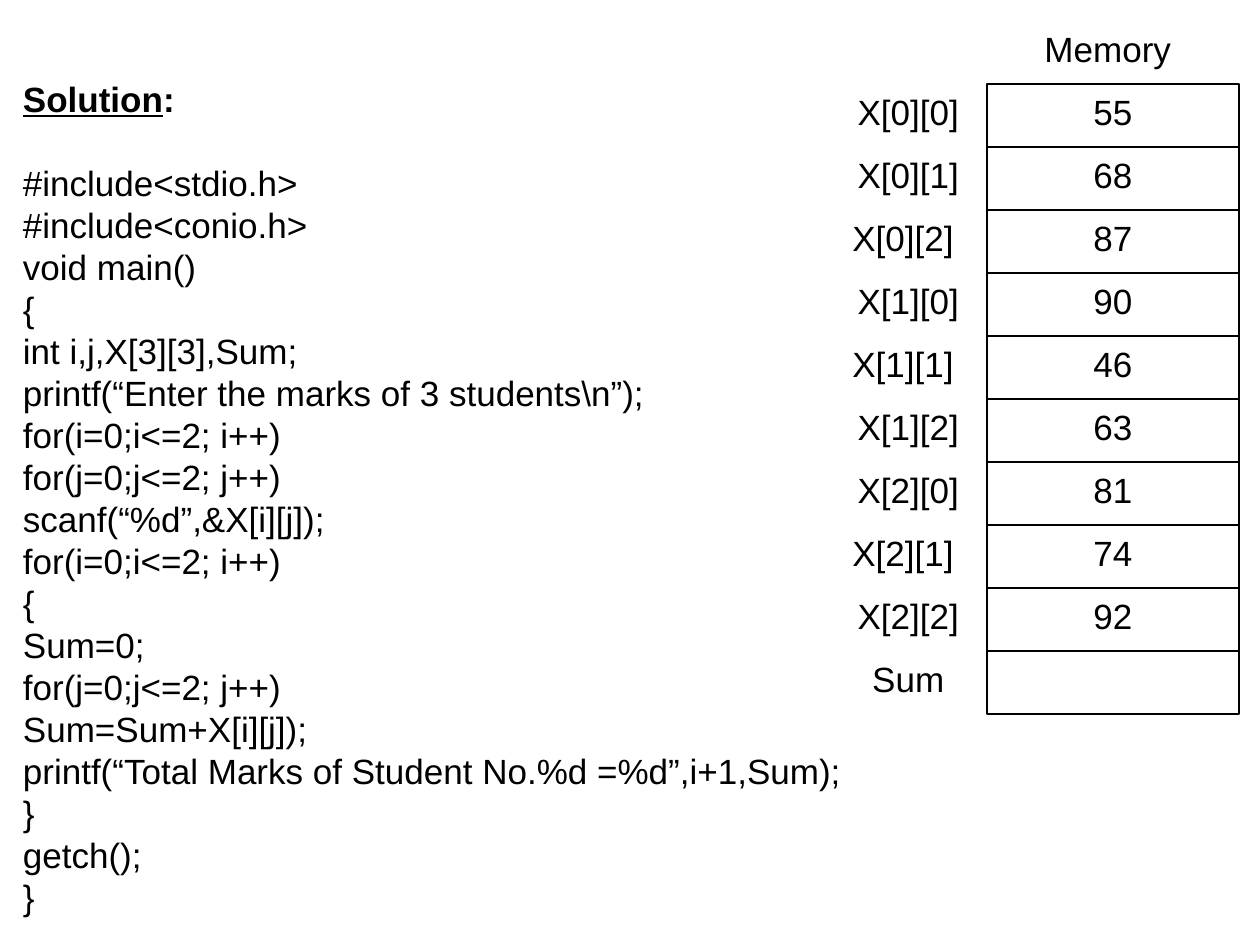
"""Build a slide pairing a C program with the memory layout of its array."""
from dataclasses import dataclass

from pptx import Presentation
from pptx.dml.color import RGBColor
from pptx.enum.shapes import MSO_SHAPE as SHAPE
from pptx.enum.text import MSO_ANCHOR as ANCHOR, PP_ALIGN as ALIGN
from pptx.util import Pt


@dataclass(frozen=True)
class Theme:
    font: str = "Arial"
    size: float = 20
    leading: float = 24
    border: float = 0.75
    ink: RGBColor = RGBColor(0, 0, 0)


@dataclass(frozen=True)
class Box:
    left: float
    top: float
    width: float
    height: float

    def lengths(self) -> tuple:
        return Pt(self.left), Pt(self.top), Pt(self.width), Pt(self.height)


@dataclass(frozen=True)
class MemoryCell:
    label: str
    value: str = ""
    label_width: float = 90


THEME = Theme()
CODE_BOX = Box(6, 24, 696, 516)
HEADING_BOX = Box(570, 12, 126, 31.5)
LABEL_LEFT, LABEL_HEIGHT = 474, 31.5
CELL_LEFT, CELL_TOP, CELL_WIDTH, CELL_HEIGHT = 564, 48, 144, 36

CELLS = (
    MemoryCell("X[0][0]", "55"),
    MemoryCell("X[0][1]", "68"),
    MemoryCell("X[0][2]", "87", 84),
    MemoryCell("X[1][0]", "90"),
    MemoryCell("X[1][1]", "46", 84),
    MemoryCell("X[1][2]", "63"),
    MemoryCell("X[2][0]", "81"),
    MemoryCell("X[2][1]", "74", 84),
    MemoryCell("X[2][2]", "92"),
    MemoryCell("Sum"),
)

CODE = r"""#include<stdio.h>
#include<conio.h>
void main()
{
int i,j,X[3][3],Sum;
printf(“Enter the marks of 3 students\n”);
for(i=0;i<=2; i++)
for(j=0;j<=2; j++)
scanf(“%d”,&X[i][j]);
for(i=0;i<=2; i++)
{
Sum=0;
for(j=0;j<=2; j++)
Sum=Sum+X[i][j]);
printf(“Total Marks of Student No.%d =%d”,i+1,Sum);
}
getch();
}"""


def add_run(p, text: str, bold: bool = False, underline: bool = False) -> None:
    r = p.add_run()
    r.text = text
    r.font.name = THEME.font
    r.font.size = Pt(THEME.size)
    r.font.color.rgb = THEME.ink
    r.font.bold = bold
    r.font.underline = underline


def set_paragraph(p, align: ALIGN) -> None:
    p.alignment = align
    p.line_spacing = Pt(THEME.leading)


def fill_centred(tf, text: str) -> None:
    tf.word_wrap = True
    tf.vertical_anchor = ANCHOR.TOP
    p = tf.paragraphs[0]
    set_paragraph(p, ALIGN.CENTER)
    add_run(p, text)


def add_label(s, box: Box, text: str) -> None:
    fill_centred(s.shapes.add_textbox(*box.lengths()).text_frame, text)


def add_cell(s, box: Box, value: str) -> None:
    sp = s.shapes.add_shape(SHAPE.RECTANGLE, *box.lengths())
    sp.shadow.inherit = False
    sp.fill.background()
    sp.line.color.rgb = THEME.ink
    sp.line.width = Pt(THEME.border)
    if value:
        fill_centred(sp.text_frame, value)


def add_code(s) -> None:
    tf = s.shapes.add_textbox(*CODE_BOX.lengths()).text_frame
    tf.word_wrap = True
    tf.vertical_anchor = ANCHOR.MIDDLE
    tf.margin_top = Pt(8)
    p = tf.paragraphs[0]
    set_paragraph(p, ALIGN.LEFT)
    p.space_after = Pt(THEME.leading)
    add_run(p, "Solution", bold=True, underline=True)
    add_run(p, ":", bold=True)
    for line in CODE.splitlines():
        p = tf.add_paragraph()
        set_paragraph(p, ALIGN.LEFT)
        add_run(p, line)


def add_memory(s) -> None:
    add_label(s, HEADING_BOX, "Memory")
    for i, cell in enumerate(CELLS):
        top = CELL_TOP + i * CELL_HEIGHT
        add_label(s, Box(LABEL_LEFT, top, cell.label_width, LABEL_HEIGHT), cell.label)
        add_cell(s, Box(CELL_LEFT, top, CELL_WIDTH, CELL_HEIGHT), cell.value)


def main() -> None:
    prs = Presentation()
    prs.slide_width, prs.slide_height = Pt(720), Pt(540)
    s = prs.slides.add_slide(prs.slide_layouts[6])
    add_code(s)
    add_memory(s)
    prs.save("out.pptx")


if __name__ == "__main__":
    main()
